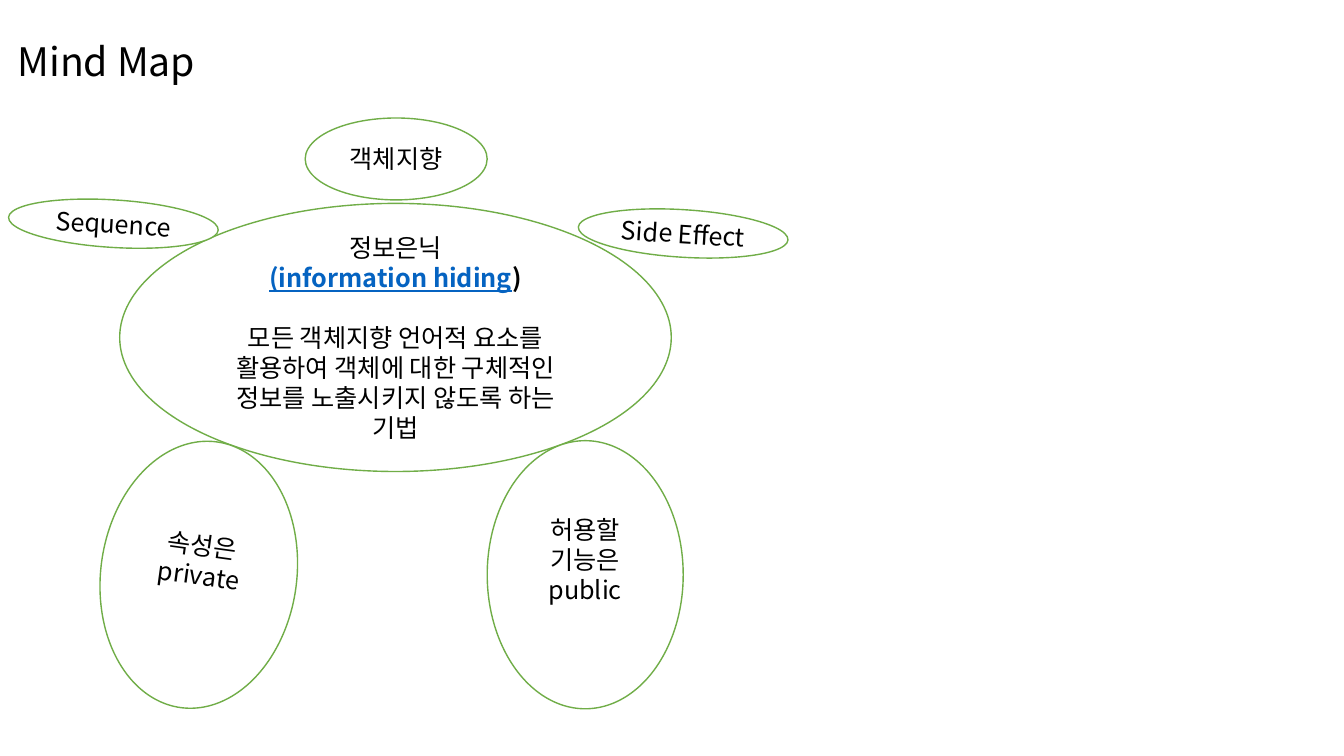
from lxml.etree import SubElement
from pptx import Presentation
from pptx.dml.color import RGBColor
from pptx.enum.shapes import MSO_SHAPE
from pptx.enum.text import MSO_ANCHOR, PP_ALIGN
from pptx.oxml.ns import qn
from pptx.util import Pt

FONT = "Noto Sans CJK KR"
BLACK = RGBColor(0x00, 0x00, 0x00)
WHITE = RGBColor(0xFF, 0xFF, 0xFF)
GREEN = RGBColor(0x70, 0xAD, 0x47)
BLUE = RGBColor(0x05, 0x63, 0xC1)
LINE = 21.5  # line pitch of the 18 pt text


def add_run(p, text, size=18, color=BLACK, bold=False, underline=False):
    r = p.add_run()
    r.text = text
    font = r.font
    font.name, font.size = FONT, Pt(size)
    font.bold, font.underline = bold, underline
    font.color.rgb = color
    SubElement(r._r.get_or_add_rPr(), qn("a:ea"), typeface=FONT)


def set_frame(tf, lift=0, side=4, wrap=True):
    """Centre the text vertically; lift reserves room below it."""
    tf.word_wrap = wrap
    tf.vertical_anchor = MSO_ANCHOR.MIDDLE
    tf.margin_left = tf.margin_right = Pt(side)
    tf.margin_top, tf.margin_bottom = Pt(0), Pt(lift)


def add_bubble(s, box, paragraphs, rotation=0, lift=0, side=4):
    """Each paragraph is a list of (text, format) runs."""
    sp = s.shapes.add_shape(MSO_SHAPE.OVAL, *map(Pt, box))
    sp.rotation = rotation
    sp.shadow.inherit = False
    sp.fill.solid()
    sp.fill.fore_color.rgb = WHITE
    sp.line.color.rgb = GREEN
    sp.line.width = Pt(1)
    tf = sp.text_frame
    set_frame(tf, lift, side)
    for i, runs in enumerate(paragraphs):
        p = tf.add_paragraph() if i else tf.paragraphs[0]
        p.alignment = PP_ALIGN.CENTER
        p.line_spacing = Pt(LINE)
        for text, style in runs:
            add_run(p, text, **style)
    return sp


def add_title(s, box, text):
    tf = s.shapes.add_textbox(*map(Pt, box)).text_frame
    set_frame(tf, side=7.2, wrap=False)
    p = tf.paragraphs[0]
    p.line_spacing = Pt(33.5)
    add_run(p, text, size=28)


def add_mind_map(s, left, top):
    def place(x, y, w, h):
        return left + x, top + y, w, h

    # Central idea
    core = add_bubble(s, place(79.5, 61, 394, 191.5), [
        [("정보은닉", {})],
        [("(information hiding", dict(color=BLUE, bold=True, underline=True)),
         (")", dict(bold=True))],
        [("모든 객체지향 언어적 요소를 활용하여 객체에 대한 구체적인 "
          "정보를 노출시키지 않도록 하는 기법", {})],
    ], side=14)
    core.text_frame.paragraphs[2].space_before = Pt(LINE)

    # Branches: box, lines, rotation, lift
    branches = [
        ((66, 230.5, 140, 191.5), ["속성은 private"], 7.8, LINE),
        ((342, 230.5, 140, 191.5), ["허용할", "기능은", "public"], 0, LINE),
        ((212, 0, 130, 58.5), ["객체지향"], 0, 0),
        ((0, 58.5, 150, 34), ["Sequence"], 3.5, 0),
        ((407, 65.5, 150, 34), ["Side Effect"], 3.5, 0),
    ]
    for box, lines, rotation, lift in branches:
        add_bubble(s, place(*box), [[(line, {})] for line in lines],
                   rotation, lift)


prs = Presentation()
prs.slide_width, prs.slide_height = Pt(960), Pt(540)
s = prs.slides.add_slide(prs.slide_layouts[6])
add_mind_map(s, 6, 84.3)
add_title(s, (5.5, 23, 148, 41), "Mind Map")
prs.save("out.pptx")
